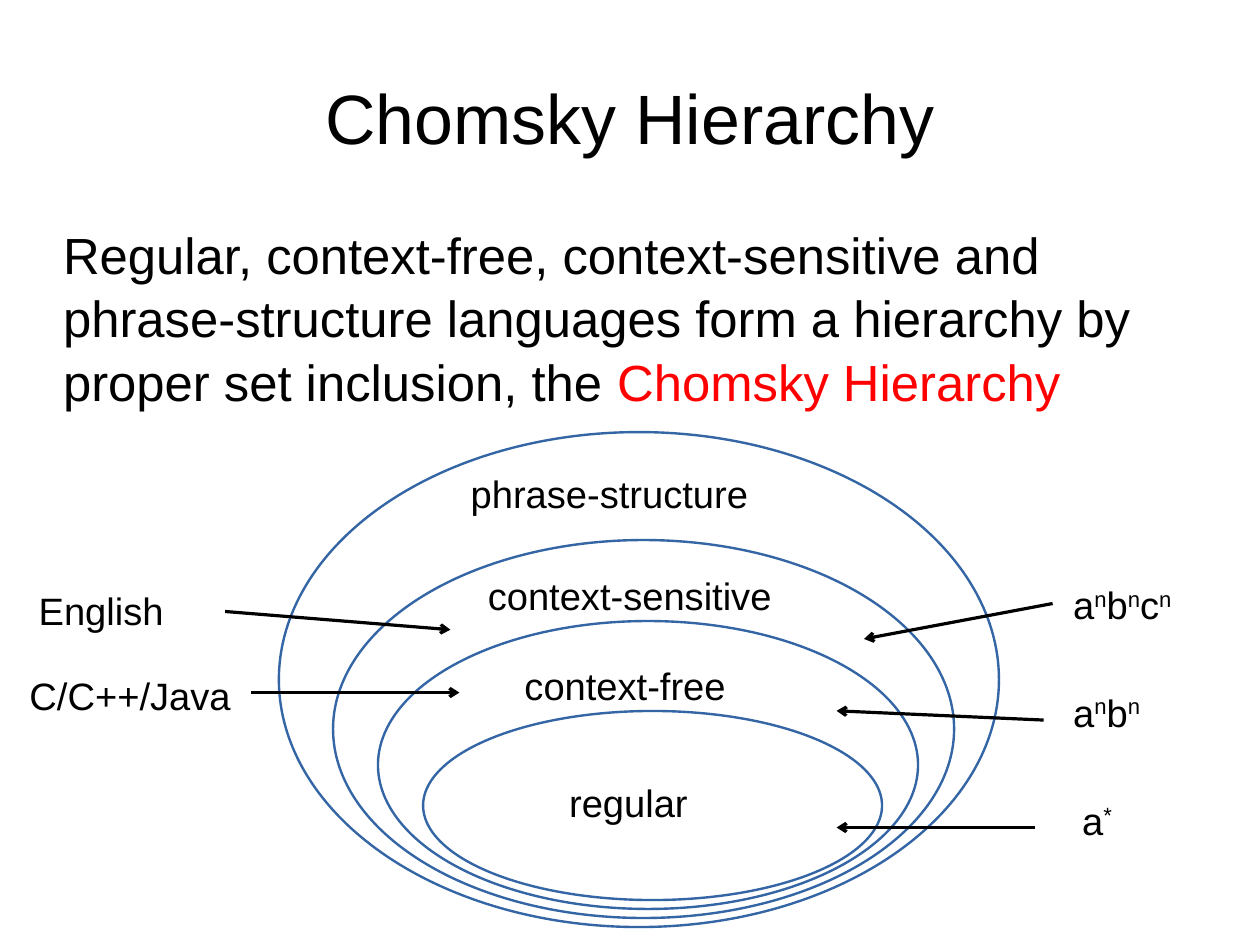
from lxml import etree
from pptx import Presentation
from pptx.dml.color import RGBColor
from pptx.enum.shapes import MSO_CONNECTOR, MSO_SHAPE
from pptx.enum.text import MSO_ANCHOR, PP_ALIGN
from pptx.oxml.ns import qn
from pptx.util import Pt

OVAL = MSO_SHAPE.OVAL
STRAIGHT = MSO_CONNECTOR.STRAIGHT
TOP, MIDDLE = MSO_ANCHOR.TOP, MSO_ANCHOR.MIDDLE
LEFT, CENTER = PP_ALIGN.LEFT, PP_ALIGN.CENTER

COLORS = {"text": "000000", "term": "FF0000", "ring": "3465A4", "arrow": "000000"}
FONT = "Arial"

LANGUAGE_CLASSES = [
    ("phrase-structure", (289.4, 293), (175.7, 272.2, 453.6, 311.8)),
    ("context-sensitive", (300.2, 357.1), (209.8, 340.2, 391.2, 238.1)),
    ("context-free", (323.3, 414), (238.1, 391.2, 340.2, 181.4)),
    ("regular", (351.4, 487.4), (266.5, 447.9, 289.1, 119.1)),
]
EXAMPLES = [
    ("English", (17.3, 366.5), (141.8, 385.2), (283.7, 396.7)),
    ("C/C++/Java", (11.5, 419.8), (158.4, 436.3), (289.4, 436.3)),
    ("a^n b^n c^n", (668.9, 362.9), (663.1, 380.2), (544.3, 402.5)),
    ("a^n b^n", (668.9, 430.6), (657.4, 453.6), (527, 447.8)),
    ("a^*", (674.6, 499), (652.3, 521.3), (527, 521.3)),
]


def rgb(name):
    return RGBColor.from_string(COLORS[name])


def add_text(slide, runs, left, top, width, height, size=24, align=LEFT,
             anchor=TOP, inset=(7.2, 3.6), spacing=1.0):
    box = slide.shapes.add_textbox(Pt(left), Pt(top), Pt(width), Pt(height))
    frame = box.text_frame
    frame.word_wrap = True
    frame.vertical_anchor = anchor
    frame.margin_left = frame.margin_right = Pt(inset[0])
    frame.margin_top = frame.margin_bottom = Pt(inset[1])
    paragraph = frame.paragraphs[0]
    paragraph.alignment = align
    paragraph.line_spacing = spacing
    for words, color, raised in runs:
        run = paragraph.add_run()
        run.text = words
        run.font.name = FONT
        run.font.size = Pt(size)
        run.font.color.rgb = rgb(color)
        if raised:
            run.font._element.set("baseline", "33000")


def plain(words):
    return [(words, "text", False)]


def powers(expression):
    runs = []
    for factor in expression.split():
        base, _, exponent = factor.partition("^")
        runs.append((base, "text", False))
        if exponent:
            runs.append((exponent, "text", True))
    return runs


def add_ring(slide, left, top, width, height):
    ring = slide.shapes.add_shape(OVAL, Pt(left), Pt(top), Pt(width), Pt(height))
    ring.shadow.inherit = False
    ring.fill.background()
    ring.line.color.rgb = rgb("ring")
    ring.line.width = Pt(1.5)


def add_arrow(slide, start, end):
    arrow = slide.shapes.add_connector(STRAIGHT, *map(Pt, start + end))
    arrow.line.color.rgb = rgb("arrow")
    arrow.line.width = Pt(0)
    etree.SubElement(arrow.line._get_or_add_ln(), qn("a:tailEnd"), type="arrow")
    etree.SubElement(arrow._element.spPr, qn("a:effectLst"))


def main():
    deck = Presentation()
    deck.slide_width, deck.slide_height = Pt(793.7), Pt(595.3)
    slide = deck.slides.add_slide(deck.slide_layouts[6])

    add_text(slide, plain("Chomsky Hierarchy"), 39.7, 23.7, 714.3, 99.4,
             size=44, align=CENTER, anchor=MIDDLE, inset=(0, 0))
    statement = plain("Regular, context-free, context-sensitive and phrase-structure "
                      "languages form a hierarchy by proper set inclusion, the ")
    add_text(slide, statement + [("Chomsky Hierarchy", "term", False)],
             39.7, 139.3, 714.3, 120, size=32, inset=(0, 0), spacing=1.04)

    for _, _, bounds in LANGUAGE_CLASSES:
        add_ring(slide, *bounds)
    for name, corner, _ in LANGUAGE_CLASSES:
        add_text(slide, plain(name), *corner, 220, 34)
    for example, corner, start, end in EXAMPLES:
        add_text(slide, powers(example), *corner, 150 if corner[0] < 100 else 85, 34)
        add_arrow(slide, start, end)

    deck.save("out.pptx")


if __name__ == "__main__":
    main()
